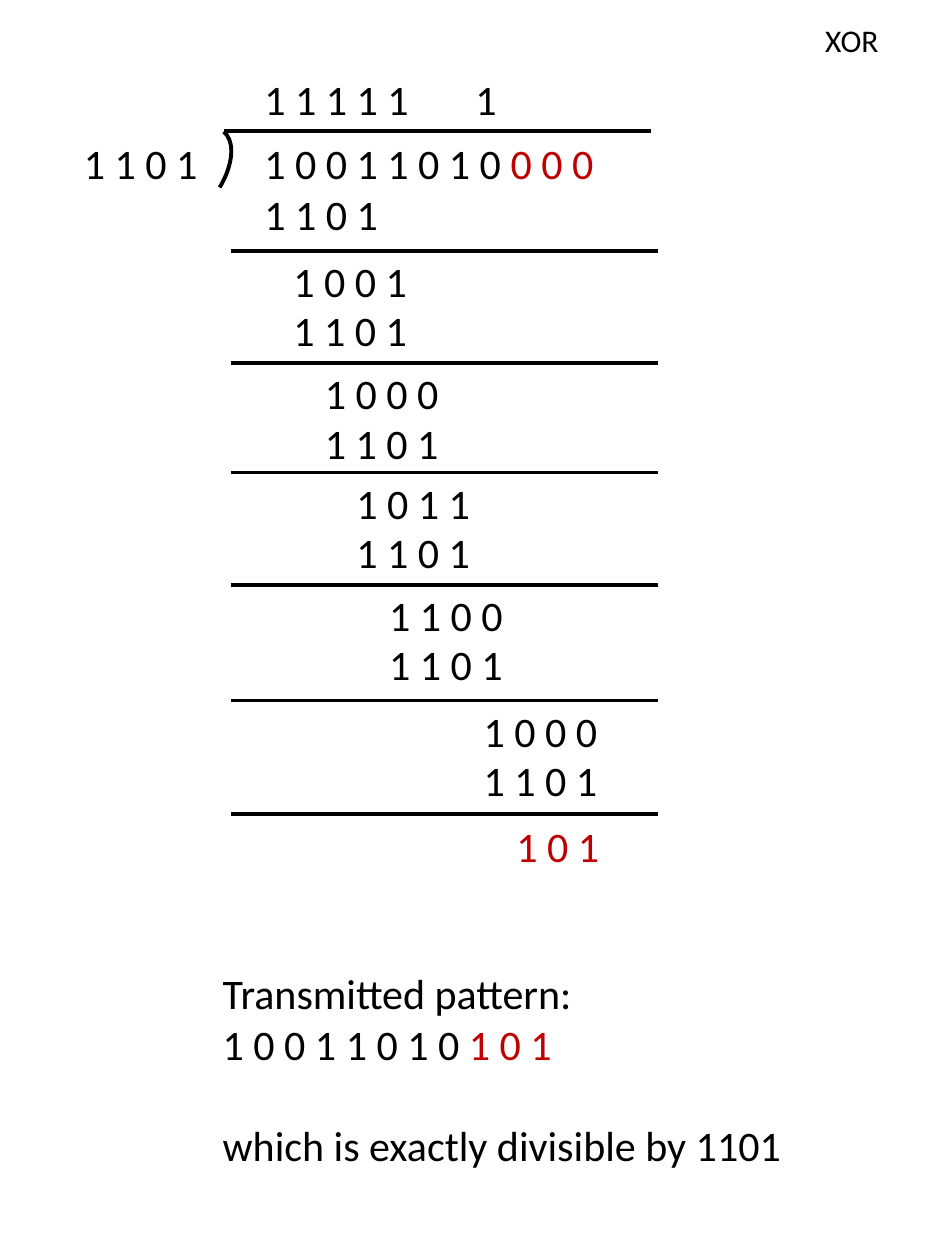
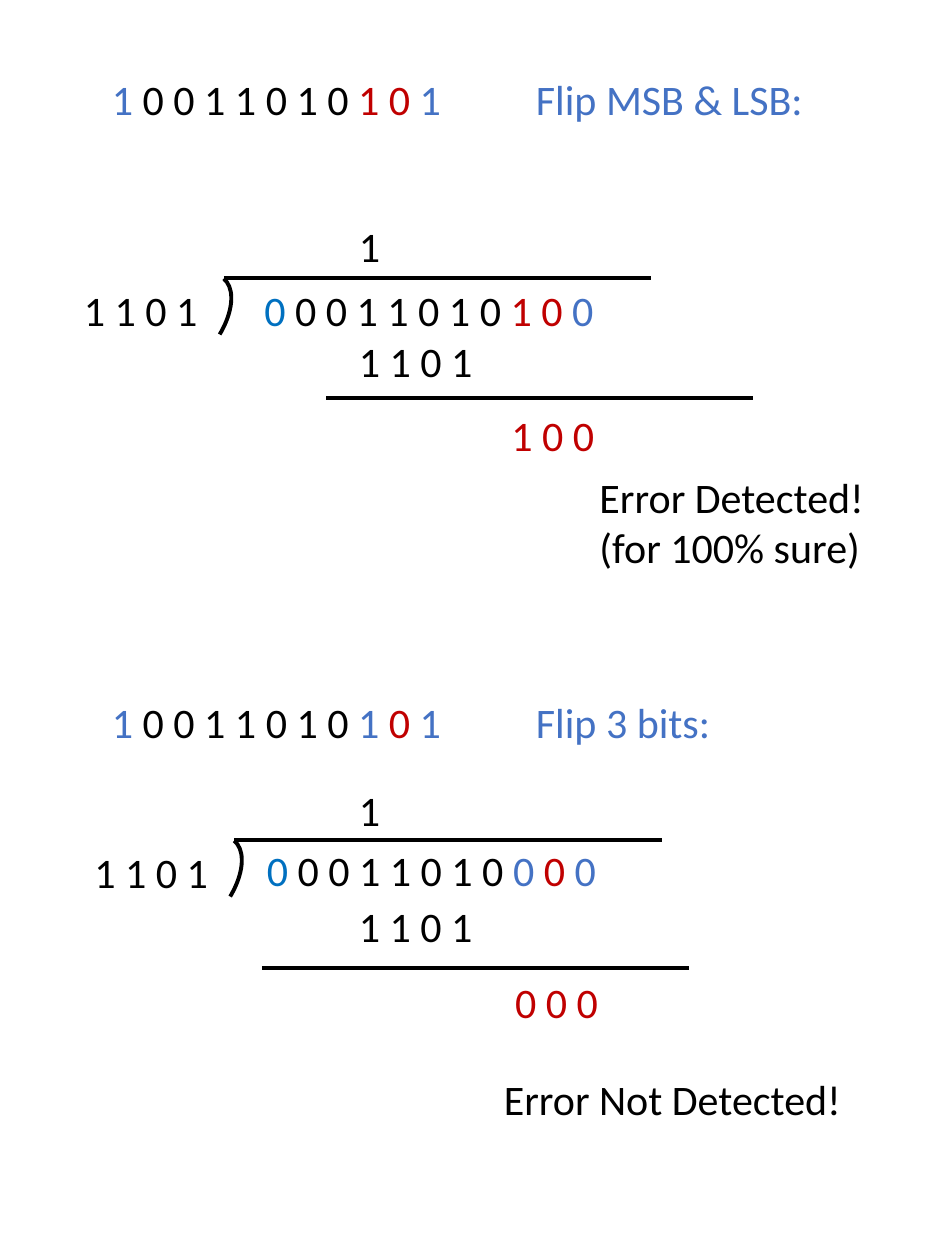
"""Builds two slides of worked CRC long division with python-pptx."""
import dataclasses

import lxml.etree
import pptx
import pptx.dml.color
import pptx.enum.shapes
import pptx.enum.text
import pptx.oxml.ns
import pptx.util

Pt = pptx.util.Pt
qn = pptx.oxml.ns.qn


@dataclasses.dataclass(frozen=True)
class Theme:
    font: str = "Calibri"
    ink: str = "000000"
    red: str = "C00000"
    blue: str = "4472C4"
    bright: str = "0070C0"
    body: float = 24
    small: float = 18
    stroke: float = 2.25
    line_height: float = 36.5
    rule_length: float = 244


THEME = Theme()
GENERATOR = "1 1 0 1"
DATA_TAIL = " 0 0 1 1 0 1 0 "


class Sheet:
    def __init__(self, theme):
        self.theme = theme
        self.deck = pptx.Presentation()
        self.deck.slide_width, self.deck.slide_height = Pt(540), Pt(720)
        self.slide = None

    def new_slide(self):
        self.slide = self.deck.slides.add_slide(self.deck.slide_layouts[6])

    def stroke(self, line):
        line.width = Pt(self.theme.stroke)
        line.color.rgb = pptx.dml.color.RGBColor.from_string(self.theme.ink)

    def text(self, left, top, width, *paragraphs, size=None, right=False, tab=None, gap=None):
        height = self.theme.line_height + 29.3 * (len(paragraphs) - 1) + (gap or 0)
        box = self.slide.shapes.add_textbox(Pt(left), Pt(top), Pt(width), Pt(height))
        frame = box.text_frame
        frame.word_wrap = True
        frame.auto_size = pptx.enum.text.MSO_AUTO_SIZE.SHAPE_TO_FIT_TEXT
        for index, runs in enumerate(paragraphs):
            paragraph = frame.add_paragraph() if index else frame.paragraphs[0]
            if right:
                paragraph.alignment = pptx.enum.text.PP_ALIGN.RIGHT
            if tab:
                stops = lxml.etree.SubElement(paragraph._p.get_or_add_pPr(), qn("a:tabLst"))
                lxml.etree.SubElement(stops, qn("a:tab"), pos=str(Pt(tab)), algn="l")
            for words, color in [(runs, self.theme.ink)] if isinstance(runs, str) else runs:
                run = paragraph.add_run()
                run.text = words
                run.font.name = self.theme.font
                run.font.size = Pt(size or self.theme.body)
                run.font.color.rgb = pptx.dml.color.RGBColor.from_string(color)
        if gap:
            paragraph.space_before = Pt(gap)

    def bits(self, left, top, digits, color=None):
        self.text(left, top, 212, [(digits, color or self.theme.ink)])

    def rule(self, left, top, shapes=None):
        rule = (shapes or self.slide.shapes).add_connector(
            pptx.enum.shapes.MSO_CONNECTOR.STRAIGHT,
            Pt(left), Pt(top), Pt(left + self.theme.rule_length), Pt(top))
        self.stroke(rule.line)
        lxml.etree.SubElement(rule._element.spPr, qn("a:effectLst"))

    def bracket(self, left, top):
        """Draws the division bar, its curve and the generator beside it."""
        group = self.slide.shapes.add_group_shape()
        self.rule(left, top, group.shapes)
        curve = group.shapes.add_shape(
            pptx.enum.shapes.MSO_SHAPE.ARC, Pt(left - 45.2), Pt(top - 9), Pt(40.3), Pt(76.3))
        curve.adjustments[0], curve.adjustments[1] = 161.96, 196.02
        curve.rotation = 40.8
        curve.fill.background()
        curve.shadow.inherit = False
        self.stroke(curve.line)
        self.text(left - 105, top, 97, GENERATOR, right=True)


def build_encoding(sheet):
    theme = sheet.theme
    sheet.new_slide()
    sheet.bracket(128, 75)
    sheet.text(144, 75, 245.5, [("1" + DATA_TAIL, theme.ink), ("0 0 0", theme.red)])
    sheet.text(144, 38.2, 245.5, "1 1 1 1 1\t1", tab=120.5)
    sheet.bits(144, 104.4, GENERATOR)
    steps = [
        ("1 0 0 1", 160.6, 143.3),
        ("1 0 0 0", 178.6, 207.4),
        ("1 0 1 1", 196.6, 270),
        ("1 1 0 0", 215.3, 334.1),
        ("1 0 0 0", 269.3, 400.3),
    ]
    for remainder, left, rule_top in steps:
        sheet.rule(132, rule_top)
        sheet.bits(left, rule_top - 0.7, remainder)
        sheet.bits(left, rule_top + 27.4, GENERATOR)
    sheet.rule(132, 465.1)
    sheet.bits(288, 465.1, "1 0 1", theme.red)
    sheet.text(464.4, 8.6, 49.7, "XOR", size=theme.small)
    sheet.text(120.2, 549.4, 365.8, "Transmitted pattern:",
               [("1" + DATA_TAIL, theme.ink), ("1 0 1", theme.red)],
               "which is exactly divisible by 1101", gap=29.3)


def build_error_checks(sheet):
    ink, red, blue, bright = (sheet.theme.ink, sheet.theme.red,
                              sheet.theme.blue, sheet.theme.bright)
    sheet.new_slide()
    checks = [
        dict(sent_top=38.2, sent=[("1 0 ", red)], label="Flip MSB & LSB:",
             bar=(128, 159), dividend=(144, 159), received=[("1 0 ", red)],
             quotient_top=122.4, product_top=188, rule=(186.3, 227.5),
             remainder=(285.1, 230.4, "1 0 0"),
             verdict=(335.5, 265.7, 189.4, "Error Detected!", "(for 100% sure)")),
        dict(sent_top=394.6, sent=[("1", blue), (" 0 ", red)], label="Flip 3 bits:",
             bar=(134, 480.2), dividend=(145.4, 478.8), received=[("0", blue), (" 0 ", red)],
             quotient_top=445, product_top=511.2, rule=(149.6, 553),
             remainder=(287.3, 554.4, "0 0 0"),
             verdict=(280.8, 609.8, 244, "Error Not Detected!")),
    ]
    for check in checks:
        sheet.text(56.9, check["sent_top"], 477.4,
                   [("1", blue), (DATA_TAIL, ink), *check["sent"], ("1\t" + check["label"], blue)],
                   tab=242.3)
        sheet.bracket(*check["bar"])
        sheet.text(*check["dividend"], 245.5,
                   [("0", bright), (DATA_TAIL, ink), *check["received"], ("0", blue)])
        sheet.bits(198, check["quotient_top"], "1")
        sheet.bits(198, check["product_top"], GENERATOR)
        sheet.rule(*check["rule"])
        sheet.bits(*check["remainder"], red)
        sheet.text(*check["verdict"])


def main():
    sheet = Sheet(THEME)
    build_encoding(sheet)
    build_error_checks(sheet)
    sheet.deck.save("out.pptx")


if __name__ == "__main__":
    main()
